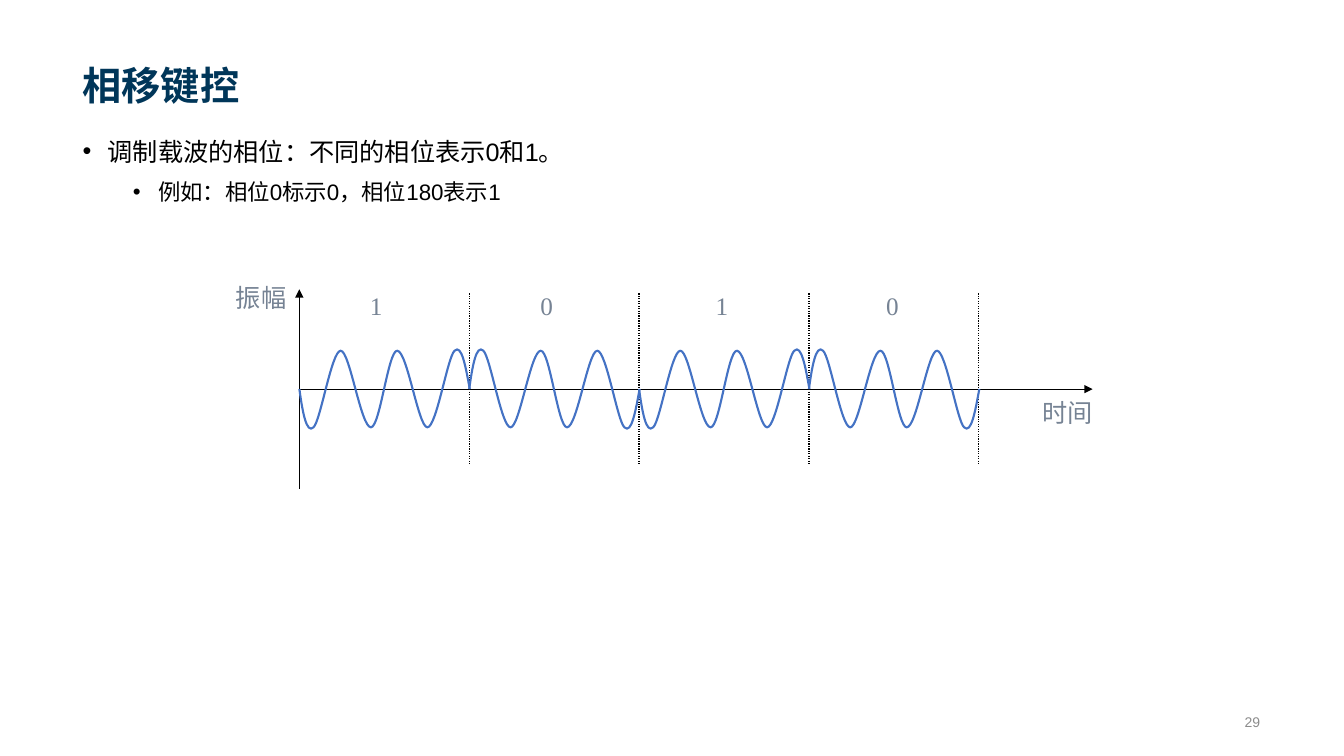
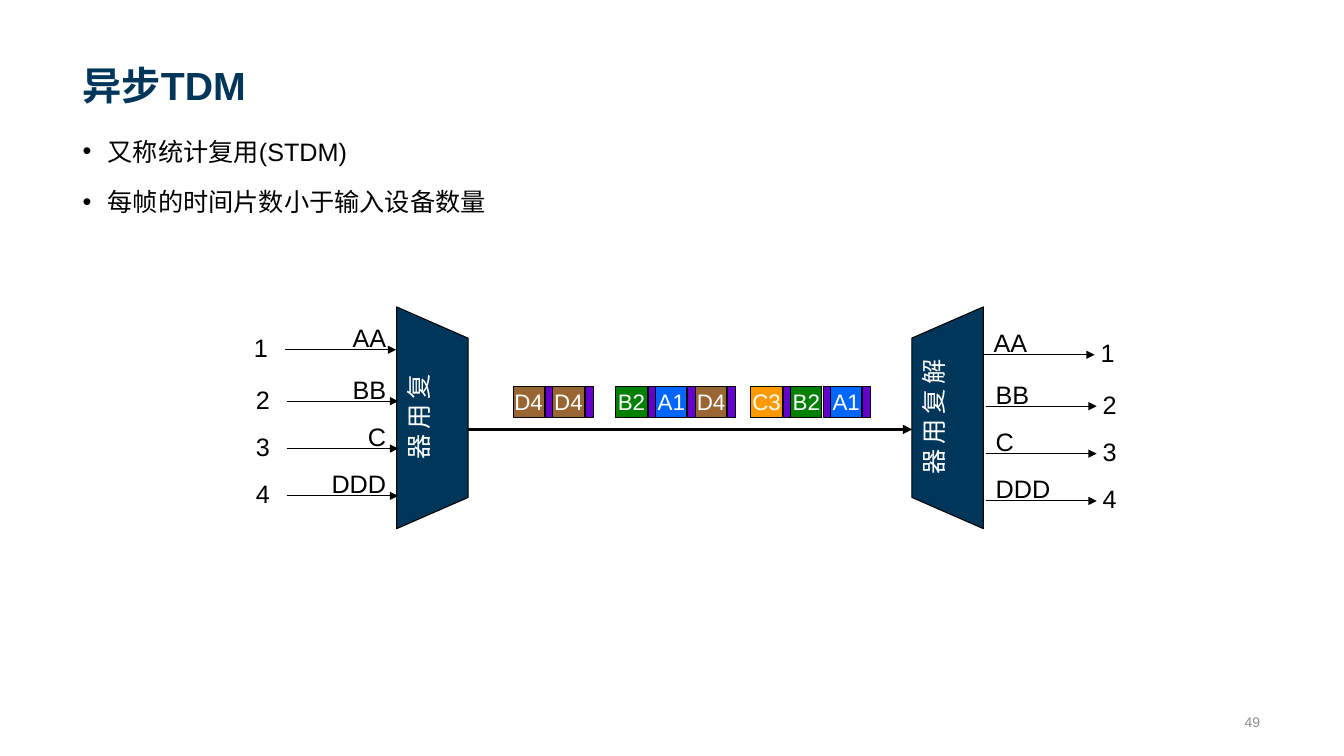
from dataclasses import dataclass

from lxml import etree
from pptx import Presentation
from pptx import util as u
from pptx.dml.color import RGBColor
from pptx.enum import dml, shapes, text
from pptx.oxml import ns


@dataclass(frozen=True)
class Theme:
    latin: str = "Arial"
    serif: str = "Times New Roman"
    chinese: str = "Noto Sans CJK SC"
    navy: str = "003659"
    black: str = "000000"
    white: str = "FFFFFF"
    page_grey: str = "8C8C8C"
    label_grey: str = "768394"
    wave_blue: str = "4472C4"
    slot_header: str = "6600CC"
    title_size: int = 28
    body_size: int = 18
    detail_size: int = 16
    page_size: int = 10


THEME = Theme()
LEFT = text.PP_ALIGN.LEFT
CENTER = text.PP_ALIGN.CENTER
RIGHT = text.PP_ALIGN.RIGHT
SLOT_COLORS = {"A1": "0066FF", "B2": "008000", "C3": "FF9900", "D4": "996633"}
FRAMES = [(5.09, ["D4", "D4"]), (6.11, ["B2", "A1", "D4"]), (7.45, ["C3", "B2", "A1"])]
CHANNELS = [("AA", 3.47, 0), ("BB", 3.98, 0.02), ("C", 4.45, 0.02), ("DDD", 4.92, 0.02)]
WAVE = [(0, 0), (0.03, 0.22), (0.07, 0.45), (0.14, 0.38),
        (0.21, 0.32), (0.32, -0.38), (0.41, -0.38),
        (0.5, -0.38), (0.61, 0.38), (0.71, 0.38),
        (0.8, 0.38), (0.88, -0.38), (0.97, -0.38),
        (1.07, -0.38), (1.18, 0.38), (1.27, 0.38),
        (1.36, 0.38), (1.47, -0.32), (1.54, -0.38),
        (1.61, -0.45), (1.65, -0.22), (1.69, 0)]


def apply(target, formats):
    for key, value in formats.items():
        setattr(target, key, value)


def add_child(parent, tag, **attributes):
    return etree.SubElement(parent, ns.qn(tag), attributes)


def write(paragraph, words, size, color, align=LEFT, latin=THEME.latin, bold=False):
    run = paragraph.add_run()
    run.text = words
    paragraph.alignment = align
    apply(run.font, {"size": u.Pt(size), "name": latin, "bold": bold})
    run.font.color.rgb = RGBColor.from_string(color)
    add_child(run.font._element, "a:ea", typeface=THEME.chinese)


def set_frame(frame, anchor=text.MSO_ANCHOR.TOP, wrap=True, margins=(0.1, 0.05, 0.1, 0.05)):
    left, top, right, bottom = map(u.Inches, margins)
    apply(frame, {"auto_size": text.MSO_AUTO_SIZE.NONE, "word_wrap": wrap,
                  "vertical_anchor": anchor, "margin_left": left, "margin_top": top,
                  "margin_right": right, "margin_bottom": bottom})


def add_text(slide, words, left, top, width, height, size=THEME.body_size,
             color=THEME.black, align=LEFT, latin=THEME.latin, **frame_formats):
    box = slide.shapes.add_textbox(*map(u.Inches, (left, top, width, height)))
    set_frame(box.text_frame, **frame_formats)
    write(box.text_frame.paragraphs[0], words, size, color, align, latin)


def add_line(slide, start, end, width=0.75, arrow=True, dash=None):
    line = slide.shapes.add_connector(shapes.MSO_CONNECTOR.STRAIGHT,
                                      *map(u.Inches, (*start, *end)))
    apply(line.line, {"width": u.Pt(width), "dash_style": dash})
    line.line.color.rgb = RGBColor.from_string(THEME.black)
    if arrow:
        add_child(line.line._get_or_add_ln(), "a:tailEnd", type="triangle")
    add_child(line._element.spPr, "a:effectLst")


def paint(shape, fill, outline=THEME.black, width=0.75):
    shape.shadow.inherit = False
    if fill:
        shape.fill.solid()
        shape.fill.fore_color.rgb = RGBColor.from_string(fill)
    else:
        shape.fill.background()
    shape.line.width = u.Pt(width)
    shape.line.color.rgb = RGBColor.from_string(outline)


def add_outline(slide, points, closed):
    start, *rest = [(u.Inches(x), u.Inches(y)) for x, y in points]
    builder = slide.shapes.build_freeform(*start, scale=1.0)
    builder.add_line_segments(rest, close=closed)
    return builder.convert_to_shape()


def add_page(deck, title, page_number, bullets, body_height):
    slide = deck.slides.add_slide(deck.slide_layouts[5])
    heading = slide.shapes.title
    apply(heading, {"left": u.Inches(0.72), "top": u.Inches(0.14),
                    "width": u.Inches(11.88), "height": u.Inches(0.98)})
    set_frame(heading.text_frame, text.MSO_ANCHOR.BOTTOM, margins=(0.1, 0.05, 0.1, 0.04))
    write(heading.text_frame.paragraphs[0], title, THEME.title_size, THEME.navy, bold=True)
    add_bullets(slide, bullets, body_height)
    add_text(slide, page_number, 8.5, 7.01, 4.1, 0.3, THEME.page_size, THEME.page_grey,
             RIGHT, anchor=text.MSO_ANCHOR.MIDDLE)
    return slide


def add_bullets(slide, bullets, height):
    body = slide.shapes.add_textbox(*map(u.Inches, (0.72, 1.24, 11.88, height)))
    set_frame(body.text_frame)
    for index, (level, words) in enumerate(bullets):
        paragraph = body.text_frame.add_paragraph() if index else body.text_frame.paragraphs[0]
        properties = paragraph._p.get_or_add_pPr()
        properties.set("marL", str(u.Inches(0.25 + level * 0.5)))
        properties.set("indent", str(u.Inches(-0.25)))
        add_child(properties, "a:buFont", typeface=THEME.latin)
        add_child(properties, "a:buChar", char="•")
        before = (5 if level else 10) if index else 0
        apply(paragraph, {"level": level, "line_spacing": 1.2, "space_before": u.Pt(before)})
        size = THEME.detail_size if level else THEME.body_size
        write(paragraph, words, size, THEME.black)


def add_wave(slide, left, middle, direction):
    wave = add_outline(slide, [(left + x, middle + direction * y) for x, y in WAVE], False)
    segments = list(wave._element.iter(ns.qn("a:lnTo")))
    outline = segments[0].getparent()
    for first in range(0, len(segments), 3):
        curve = add_child(outline, "a:cubicBezTo")
        for segment in segments[first:first + 3]:
            curve.append(segment[0])
            outline.remove(segment)
    paint(wave, None, THEME.wave_blue, 1.5)


def add_phase_diagram(slide):
    origin, middle, last_boundary = 2.97, 3.86, 9.71
    digits = list(zip("1010", (3.67, 5.36, 7.1, 8.79)))
    period = (last_boundary - origin) / len(digits)
    label = {"color": THEME.label_grey, "wrap": False, "margins": (0, 0, 0, 0)}
    add_line(slide, (origin, 4.85), (origin, 2.87))
    add_line(slide, (origin, middle), (10.84, middle))
    for index, (bit, digit_left) in enumerate(digits):
        start = origin + index * period
        end = start + period
        add_line(slide, (end, 2.91), (end, 4.6), 0.88, False, dml.MSO_LINE.ROUND_DOT)
        add_wave(slide, start, middle, 1 if bit == "1" else -1)
        add_text(slide, bit, digit_left, 2.88, 0.12, 0.3, latin=THEME.serif, **label)
    for words, left, top in (("振幅", 2.34, 2.8), ("时间", 10.34, 3.94)):
        add_text(slide, words, left, top, 0.5, 0.3, latin=THEME.chinese, **label)


def add_multiplexer(slide, left, rotation, characters, text_turn=0):
    top, length, depth, slant = 3.79, 2.2, 0.71, 0.31
    device = add_outline(slide, [(left, top), (left + length, top),
                                 (left + length - slant, top + depth),
                                 (left + slant, top + depth)], True)
    device.rotation = rotation
    paint(device, THEME.navy)
    frame = device.text_frame
    set_frame(frame, text.MSO_ANCHOR.MIDDLE, False)
    frame._txBody.bodyPr.set("vert", "eaVert")
    if text_turn:
        frame._txBody.bodyPr.set("rot", str(text_turn * 60000))
    for index, character in enumerate(characters):
        paragraph = frame.add_paragraph() if index else frame.paragraphs[0]
        write(paragraph, character, THEME.body_size, THEME.white, CENTER)


def add_channels(slide):
    reach, drop = 1.1, 0.05
    for number, (signal, y, shift) in enumerate(CHANNELS, 1):
        entry, departure = 2.83 + shift, 9.76 + shift
        add_line(slide, (entry, y), (entry + reach, y))
        add_text(slide, signal, 3.03, y - 0.32, 0.9, 0.4, align=RIGHT)
        add_text(slide, str(number), entry - 0.41, y - 0.22, 0.34, 0.4)
        y += drop
        add_line(slide, (departure, y), (departure + reach, y))
        add_text(slide, signal, departure, y - 0.32, 0.9, 0.4)
        add_text(slide, str(number), departure + reach - 0.04, y - 0.22, 0.34, 0.4)


def add_block(slide, left, width, fill, words=""):
    block = slide.shapes.add_shape(shapes.MSO_SHAPE.RECTANGLE,
                                   *map(u.Inches, (left, 3.83, width, 0.31)))
    paint(block, fill)
    if words:
        set_frame(block.text_frame, text.MSO_ANCHOR.MIDDLE, False)
        write(block.text_frame.paragraphs[0], words, THEME.detail_size, THEME.white, CENTER)


def add_frames(slide):
    pitch = 0.79 / 2
    for frame_left, slots in FRAMES:
        for index, slot in enumerate(slots):
            slot_left = frame_left + index * pitch
            add_block(slide, slot_left, 0.31, SLOT_COLORS[slot], slot)
            add_block(slide, slot_left + 0.32, 0.08, THEME.slot_header)


def main():
    deck = Presentation()
    apply(deck, {"slide_width": u.Inches(40 / 3), "slide_height": u.Inches(7.5)})

    phase = add_page(deck, "相移键控", "29", [
        (0, "调制载波的相位：不同的相位表示0和1。"),
        (1, "例如：相位0标示0，相位180表示1")], 1.38)
    add_phase_diagram(phase)

    multiplexing = add_page(deck, "异步TDM", "49", [
        (0, "又称统计复用(STDM)"),
        (0, "每帧的时间片数小于输入设备数量")], 5.47)
    add_multiplexer(multiplexing, 3.19, 270, "复用器")
    add_multiplexer(multiplexing, 8.3, 90, "解复用器", 180)
    add_line(multiplexing, (4.64, 4.26), (9.05, 4.26), 2.25)
    add_channels(multiplexing)
    add_frames(multiplexing)

    deck.save("out.pptx")


if __name__ == "__main__":
    main()
